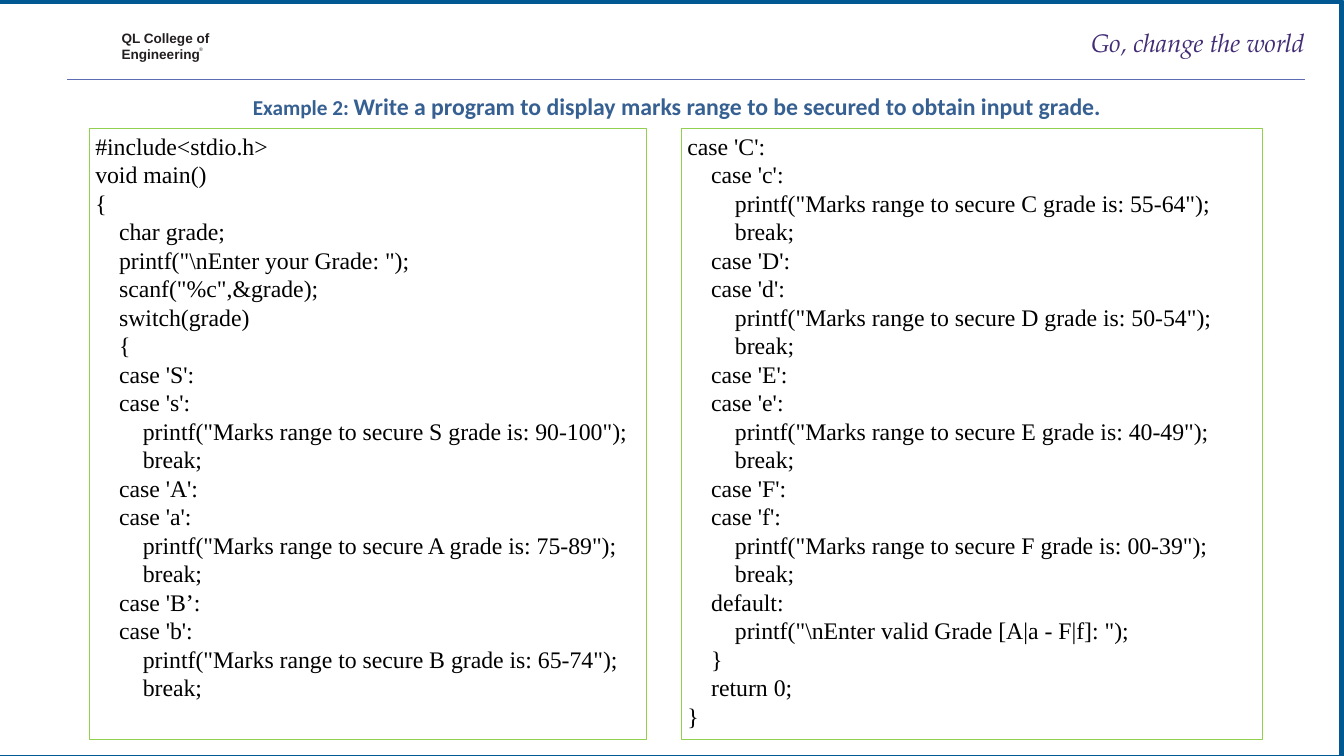
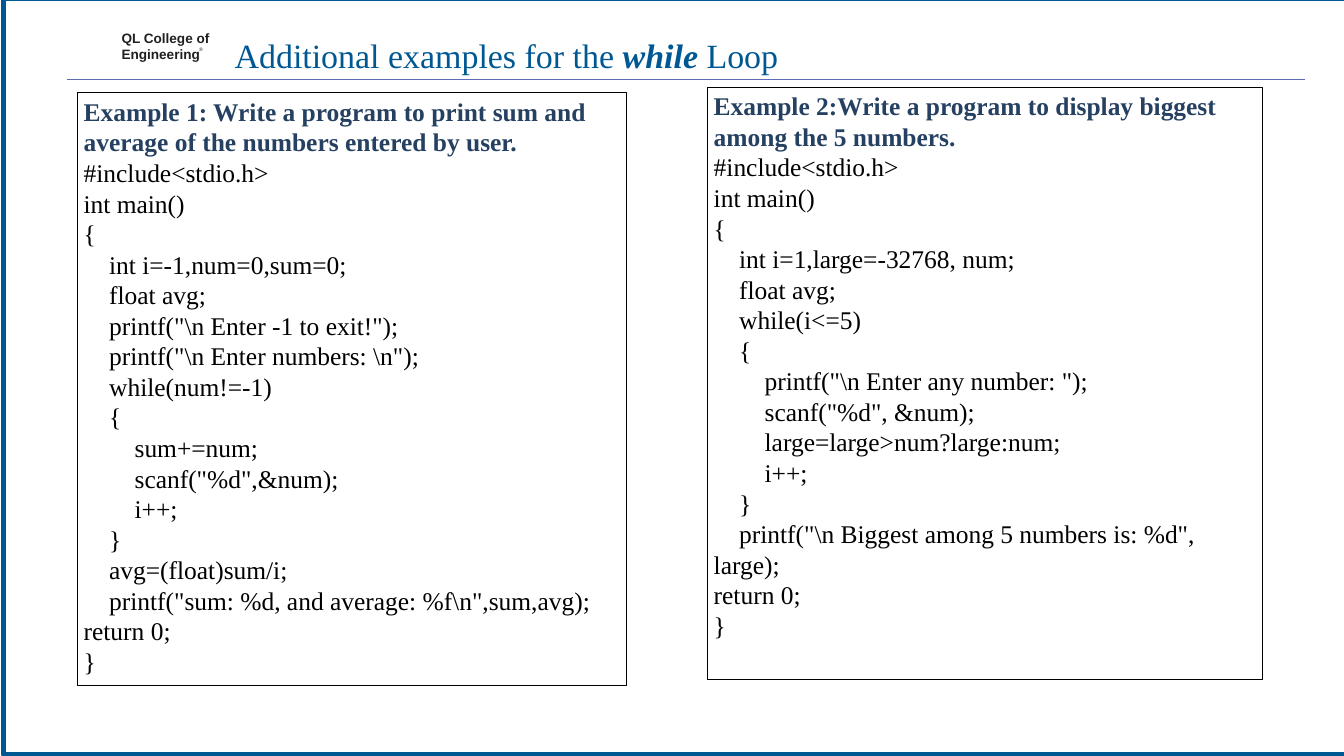
"""Build two slides of C examples: a switch on grades and two while loops."""
from lxml import etree
from pptx import Presentation
from pptx.dml.color import RGBColor
from pptx.enum.shapes import MSO_CONNECTOR, MSO_SHAPE
from pptx.enum.text import MSO_ANCHOR, PP_ALIGN
from pptx.oxml.ns import qn
from pptx.util import Inches, Pt

RECT = MSO_SHAPE.RECTANGLE
LINE = MSO_CONNECTOR.STRAIGHT
TOP = MSO_ANCHOR.TOP
LEFT, MID, RIGHT = PP_ALIGN.LEFT, PP_ALIGN.CENTER, PP_ALIGN.RIGHT

WHITE = RGBColor(0xFF, 0xFF, 0xFF)
BLACK = RGBColor(0x00, 0x00, 0x00)
BLUE = RGBColor(0x00, 0x58, 0x93)
RULE = RGBColor(0x5E, 0x6D, 0xB3)
INK = RGBColor(0x23, 0x1F, 0x20)
PLUM = RGBColor(0x42, 0x2C, 0x75)
GREEN = RGBColor(0x92, 0xD0, 0x50)
STEEL = RGBColor(0x37, 0x60, 0x92)
NAVY = RGBColor(0x25, 0x40, 0x61)

WIDE, HIGH = Inches(21.99), Inches(12.37)
SERIF = "Times New Roman"
TAB = 4
LEAD = 1.2

NAME = {"name": "Arial", "size": Pt(16), "bold": True, "color": INK}
MARK = {"name": "Arial", "size": Pt(6), "color": INK}
MOTTO = {"name": "TeX Gyre Pagella", "size": Pt(30), "italic": True, "color": PLUM}
TASK = {"name": "Calibri", "size": Pt(28), "bold": True, "color": STEEL}
TITLE = {"name": SERIF, "size": Pt(40), "color": BLUE}
CODE = {"name": SERIF, "size": Pt(28), "color": BLACK}
LOOP = CODE | {"size": Pt(30)}
ASK = LOOP | {"bold": True, "color": NAVY}

FLUSH = {"margin_left": 0, "margin_top": 0, "margin_right": 0, "margin_bottom": 0}
TIGHT = {"line_spacing": Pt(17.9), "space_before": Pt(1.4)}

GRADES = r"""#include<stdio.h>
void main()
{
    char grade;
    printf("\nEnter your Grade: ");
    scanf("%c",&grade);
    switch(grade)
    {
    case 'S':
    case 's':
        printf("Marks range to secure S grade is: 90-100");
        break;
    case 'A':
    case 'a':
        printf("Marks range to secure A grade is: 75-89");
        break;
    case 'B’:
    case 'b':
        printf("Marks range to secure B grade is: 65-74");
        break;"""

REST = r"""case 'C':
    case 'c':
        printf("Marks range to secure C grade is: 55-64");
        break;
    case 'D':
    case 'd':
        printf("Marks range to secure D grade is: 50-54");
        break;
    case 'E':
    case 'e':
        printf("Marks range to secure E grade is: 40-49");
        break;
    case 'F':
    case 'f':
        printf("Marks range to secure F grade is: 00-39");
        break;
    default:
        printf("\nEnter valid Grade [A|a - F|f]: ");
    }
    return 0;
}"""

SUM = r"""#include<stdio.h>
int main()
{
    int i=-1,num=0,sum=0;
    float avg;
    printf("\n Enter -1 to exit!");
    printf("\n Enter numbers: \n");
    while(num!=-1)
    {
        sum+=num;
        scanf("%d",&num);
        i++;
    }
    avg=(float)sum/i;
    printf("sum: %d, and average: %f\n",sum,avg);
return 0;
}"""

LARGE = r"""#include<stdio.h>
int main()
{
    int i=1,large=-32768, num;
    float avg;
    while(i<=5)
    {
        printf("\n Enter any number: ");
        scanf("%d", &num);
        large=large>num?large:num;
        i++;
    }
    printf("\n Biggest among 5 numbers is: %d", large);
return 0;
}"""

BRAND = [
    ((9.05, 3.88, 6.82, 4.37), [[("QL College of", NAME)], [("Engineering", NAME)]],
     LEFT, FLUSH | {"margin_top": Inches(0.02)}, TIGHT),
    ((14.82, 6.18, 0.45, 0.8), [[("®", MARK)]], LEFT, FLUSH, {}),
]

PAGES = [
    {
        "shift": (-0.18, 0.16),
        "heads": [
            ((78.81, 3.64, 18.28, 4.12), [[("Go, change the world", MOTTO)]],
             RIGHT, FLUSH, {}),
            ((6.78, 11.72, 87.13, 4.61),
             [[("Example 2: ", TASK | {"size": Pt(25)}),
               ("Write a program to display marks range to be secured"
                " to obtain input grade.", TASK)]],
             MID, {}, {}),
        ],
        "edge": (GREEN, 0.75),
        "font": CODE,
        "panels": [((6.64, 16.98, 41.47, 80.84), "", GRADES),
                   ((50.7, 16.98, 43.25, 80.84), "", REST)],
    },
    {
        "shift": (0.27, -0.16),
        "heads": [
            ((17.01, 4.12, 41.79, 6.22),
             [[("Additional examples for the ", TITLE),
               ("while", TITLE | {"bold": True, "italic": True}),
               (" Loop", TITLE)]],
             LEFT, {"word_wrap": False}, {}),
        ],
        "edge": (BLACK, 1),
        "font": LOOP,
        "panels": [
            ((5.78, 12.29, 40.84, 78.33),
             "Example 1: Write a program to print sum and average of the"
             " numbers entered by user.", SUM),
            ((52.66, 11.56, 41.29, 78.33),
             "Example 2:Write a program to display biggest among the"
             " 5 numbers.", LARGE),
        ],
    },
]


def place(x, y, *size):
    """Turn percentages of the slide into lengths."""
    return [round(part * full / 100)
            for part, full in zip((x, y, *size), (WIDE, HIGH) * 2)]


def write(shape, paras, align, frame, space):
    """Fill a shape with paragraphs of (text, font) runs."""
    body = shape.text_frame
    for key, value in ({"word_wrap": True, "vertical_anchor": TOP} | frame).items():
        setattr(body, key, value)
    for num, runs in enumerate(paras):
        para = body.add_paragraph() if num else body.paragraphs[0]
        for key, value in ({"alignment": align} | space).items():
            setattr(para, key, value)
        depth = len(runs[0][0]) - len(runs[0][0].lstrip())
        if depth >= TAB:
            props = para._p.get_or_add_pPr()
            props.set("marL", "0")
            props.set("indent", str(depth // TAB * runs[0][1]["size"]))
        for pos, (text, font) in enumerate(runs):
            run = para.add_run()
            run.text = text if pos else text.lstrip()
            for key, value in font.items():
                if key == "color":
                    run.font.color.rgb = value
                else:
                    setattr(run.font, key, value)


deck = Presentation()
deck.slide_width, deck.slide_height = WIDE, HIGH

for page in PAGES:
    slide = deck.slides.add_slide(deck.slide_layouts[6])
    shapes = slide.shapes

    frame = shapes.add_shape(RECT, *place(*page["shift"], 100, 100))
    frame.shadow.inherit = False
    frame.fill.solid()
    frame.fill.fore_color.rgb = WHITE
    frame.line.color.rgb = BLUE
    frame.line.width = Pt(6)

    rule = shapes.add_connector(LINE, *place(5, 10.51, 97.13, 10.51))
    rule.line.color.rgb = RULE
    rule.line.width = Pt(1.25)
    etree.SubElement(rule._element.spPr, qn("a:effectLst"))

    for at, paras, align, body, space in BRAND + page["heads"]:
        write(shapes.add_textbox(*place(*at)), paras, align, body, space)

    color, width = page["edge"]
    font = page["font"]
    for at, task, code in page["panels"]:
        panel = shapes.add_shape(RECT, *place(*at))
        panel.shadow.inherit = False
        panel.fill.background()
        panel.line.color.rgb = color
        panel.line.width = Pt(width)
        paras = [[(task, ASK)]] if task else []
        paras += [[(line, font)] for line in code.splitlines()]
        write(panel, paras, LEFT, {}, {"line_spacing": Pt(font["size"].pt * LEAD)})

deck.save("out.pptx")
